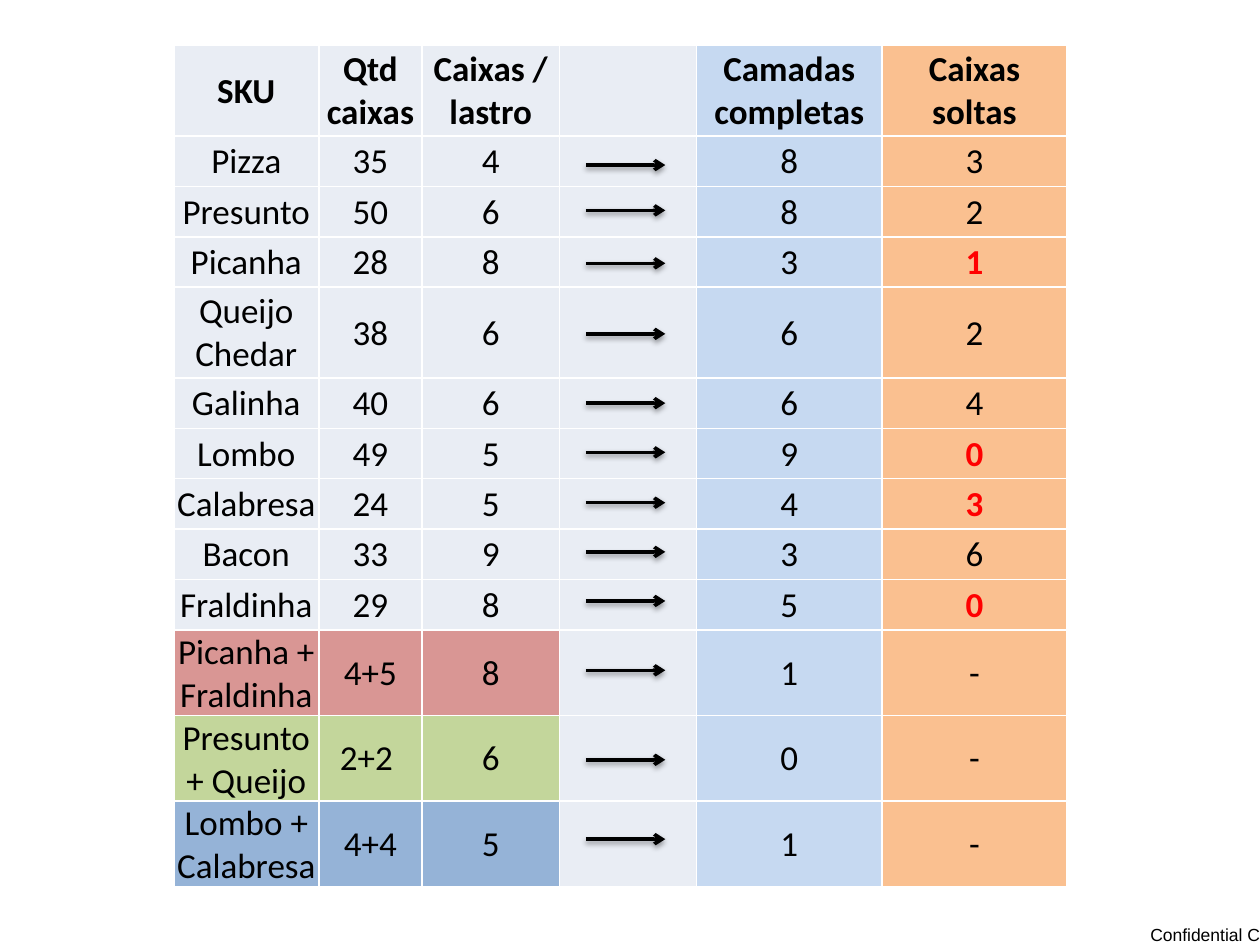
from pptx import Presentation
from pptx.dml.color import RGBColor
from pptx.enum.shapes import MSO_CONNECTOR as Connector
from pptx.enum.text import MSO_ANCHOR as Anchor, PP_ALIGN as Align
from pptx.oxml import parse_xml
from pptx.oxml.ns import nsdecls
from pptx.util import Inches, Pt

BLACK = RGBColor(0x00, 0x00, 0x00)
RED = RGBColor(0xFF, 0x00, 0x00)
WHITE = RGBColor(0xFF, 0xFF, 0xFF)
PALE = RGBColor(0xE9, 0xED, 0xF4)
SKY = RGBColor(0xC6, 0xD9, 0xF1)
ORANGE = RGBColor(0xFA, 0xC0, 0x90)
ROSE = RGBColor(0xD9, 0x96, 0x94)
GREEN = RGBColor(0xC3, 0xD6, 0x9B)
BLUE = RGBColor(0x95, 0xB3, 0xD7)

COLUMNS = [1.15, 0.82, 1.09, 1.09, 1.47, 1.47]
SINGLE, DOUBLE, MIX = 0.4, 0.72, 0.68
ARROW_COLUMN, LOOSE_COLUMN = 3, 5
COLUMN_FILLS = [PALE, PALE, PALE, PALE, SKY, ORANGE]

HEADER = ["SKU", "Qtd caixas", "Caixas / lastro", "", "Camadas completas", "Caixas soltas"]
PRODUCTS = [
    ["Pizza", "35", "4", "", "8", "3"],
    ["Presunto", "50", "6", "", "8", "2"],
    ["Picanha", "28", "8", "", "3", "1"],
    ["Queijo Chedar", "38", "6", "", "6", "2"],
    ["Galinha", "40", "6", "", "6", "4"],
    ["Lombo", "49", "5", "", "9", "0"],
    ["Calabresa", "24", "5", "", "4", "3"],
    ["Bacon", "33", "9", "", "3", "6"],
    ["Fraldinha", "29", "8", "", "5", "0"],
]
MIXES = [
    (["Picanha + Fraldinha", "4+5", "8", "", "1", "-"], ROSE),
    (["Presunto + Queijo", "2+2 ", "6", "", "0", "-"], GREEN),
    (["Lombo + Calabresa", "4+4", "5", "", "1", "-"], BLUE),
]
ROWS = [HEADER] + PRODUCTS + [values for values, color in MIXES]
HEIGHTS = [DOUBLE] + [DOUBLE if " " in row[0] else SINGLE for row in PRODUCTS] + [MIX] * len(MIXES)
MIX_FILLS = {row[0]: color for row, color in MIXES}
ADJUSTED = {"Picanha", "Lombo", "Calabresa", "Fraldinha"}
ARROW_SHIFTS = [0.03, -0.01, 0.01, 0.01, 0, -0.01, -0.01, -0.02, -0.03, -0.02, 0.01, -0.04]


def write_text(frame, text, font="Calibri", size=20, color=BLACK, bold=False, align=Align.CENTER):
    para = frame.paragraphs[0]
    para.alignment = align
    span = para.add_run()
    span.text = text
    span.font.name = font
    span.font.size = Pt(size)
    span.font.bold = bold
    span.font.color.rgb = color


def add_borders(cell, color=WHITE, width=1):
    properties = cell._tc.get_or_add_tcPr()
    for side in ("lnL", "lnR", "lnT", "lnB"):
        properties.append(parse_xml(
            f'<a:{side} {nsdecls("a")} w="{Pt(width)}"><a:solidFill>'
            f'<a:srgbClr val="{color}"/></a:solidFill></a:{side}>'))


def format_cell(cell, fill):
    cell.margin_left = cell.margin_right = cell.margin_top = Inches(0.01)
    cell.margin_bottom = 0
    cell.vertical_anchor = Anchor.MIDDLE
    add_borders(cell)
    cell.fill.solid()
    cell.fill.fore_color.rgb = fill


def add_sku_table(page, left, top):
    table = page.shapes.add_table(
        len(ROWS), len(COLUMNS), Inches(left), Inches(top),
        Inches(sum(COLUMNS)), Inches(sum(HEIGHTS))).table
    for column, width in zip(table.columns, COLUMNS):
        column.width = Inches(width)
    for row, height in zip(table.rows, HEIGHTS):
        row.height = Inches(height)
    for r, values in enumerate(ROWS):
        for c, value in enumerate(values):
            cell = table.cell(r, c)
            mixed = c < ARROW_COLUMN and values[0] in MIX_FILLS
            format_cell(cell, MIX_FILLS[values[0]] if mixed else COLUMN_FILLS[c])
            if value:
                adjusted = c == LOOSE_COLUMN and values[0] in ADJUSTED
                write_text(cell.text_frame, value, bold=r == 0 or adjusted,
                           color=RED if adjusted else BLACK)


def add_arrow(page, left, right, y):
    arrow = page.shapes.add_connector(
        Connector.STRAIGHT, Inches(left), Inches(y), Inches(right), Inches(y))
    arrow.line.color.rgb = BLACK
    arrow.line.width = Pt(2)
    arrow.line._get_or_add_ln().append(parse_xml(f'<a:tailEnd {nsdecls("a")} type="arrow"/>'))
    arrow._element.spPr.append(parse_xml(
        f'<a:effectLst {nsdecls("a")}><a:outerShdw blurRad="{Pt(3.1)}" dist="{Pt(1.6)}" '
        'dir="5400000" rotWithShape="0"><a:srgbClr val="000000"><a:alpha val="38000"/>'
        '</a:srgbClr></a:outerShdw></a:effectLst>'))


def add_row_arrows(page, left, top):
    start = left + sum(COLUMNS[:ARROW_COLUMN]) + 0.21
    for r, shift in enumerate(ARROW_SHIFTS, start=1):
        middle = top + sum(HEIGHTS[:r]) + HEIGHTS[r] / 2
        add_arrow(page, start, start + 0.63, middle + shift)


def add_footer(page, left, top, width, height):
    box = page.shapes.add_textbox(Inches(left), Inches(top), Inches(width), Inches(height))
    frame = box.text_frame
    frame.word_wrap = False
    frame.margin_left = frame.margin_right = frame.margin_top = frame.margin_bottom = 0
    write_text(frame, "Confidential C", font="Arial", size=10, align=Align.LEFT)


def main():
    deck = Presentation()
    deck.slide_width, deck.slide_height = Inches(10), Inches(7.5)
    page = deck.slides.add_slide(deck.slide_layouts[6])
    add_footer(page, 9.13, 7.33, 0.91, 0.17)
    add_sku_table(page, 1.38, 0.36)
    add_row_arrows(page, 1.38, 0.36)
    deck.save("out.pptx")


if __name__ == "__main__":
    main()
